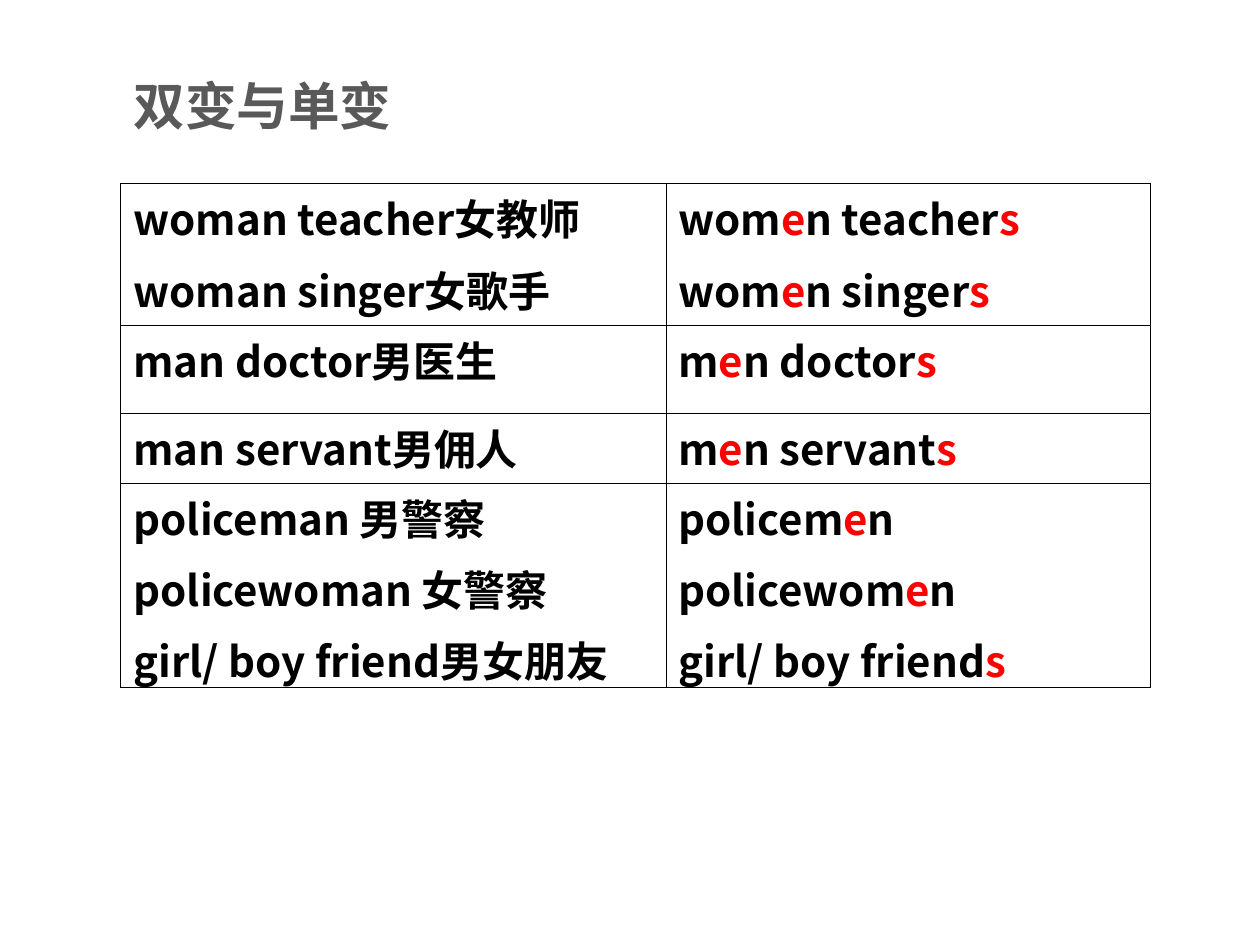
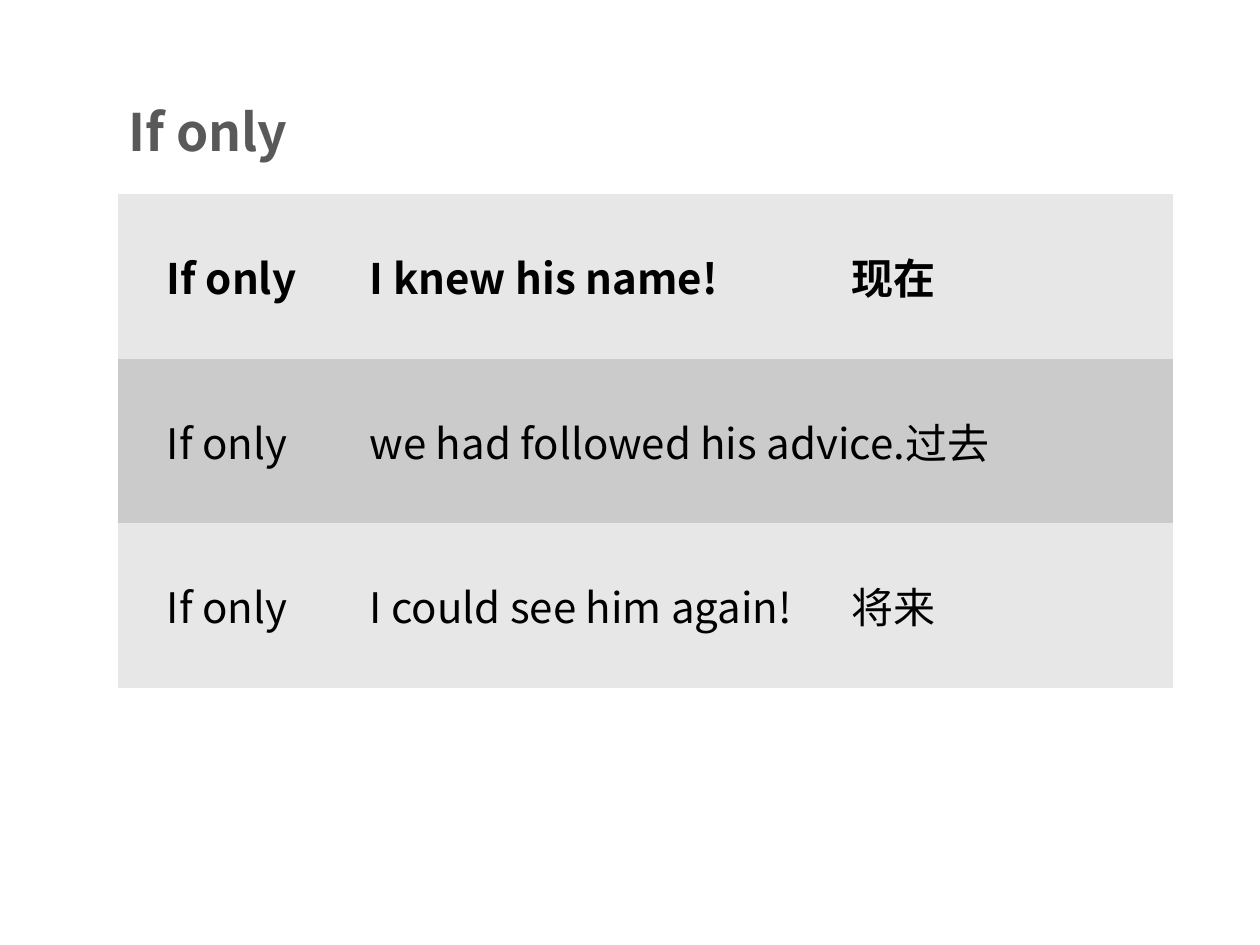
from pptx import Presentation
from pptx import util as u
from pptx.dml.color import RGBColor
from pptx.enum import text
from pptx.oxml.ns import qn
from lxml import etree

Pt = u.Pt
FONT = "Noto Sans CJK SC"
COLOURS = {
    "title": "595959",
    "body": "000000",
    "ending": "FF0000",
    "border": "000000",
    "light": "E7E7E7",
    "dark": "CBCBCB",
}
TITLE_FORMAT = {"size": Pt(59), "bold": True}
STRONG_FORMAT = {"size": Pt(48), "bold": True}
PLAIN_FORMAT = {"size": Pt(48), "bold": False}
TITLE_MARGINS = {"margin_left": Pt(14.4), "margin_right": Pt(14.4),
                 "margin_top": Pt(7.2), "margin_bottom": Pt(7.2)}
CELL_MARGINS = {"margin_left": Pt(14.4), "margin_right": Pt(14.4),
                "margin_top": Pt(3.6), "margin_bottom": Pt(3.6)}
FIRST_COLUMN_INDENT = 56
TENSE_TAB = 550
OUTER_LINE, INNER_LINE = 1.08, 0.45

# Changed letters stand between asterisks.
PLURALS = [
    (["woman teacher女教师", "woman singer女歌手"],
     ["wom*e*n teacher*s*", "wom*e*n singer*s*"]),
    (["man doctor男医生"], ["m*e*n doctor*s*"]),
    (["man servant男佣人"], ["m*e*n servant*s*"]),
    (["policeman 男警察", "policewoman 女警察", "girl/ boy friend男女朋友"],
     ["policem*e*n", "policewom*e*n", "girl/ boy friend*s*"]),
]
WISHES = [
    "I knew his name!\t现在",
    "we had followed his advice.过去",
    "I could see him again!\t将来",
]


def set_values(target, values):
    for name, value in values.items():
        setattr(target, name, value)


def add_run(paragraph, words, colour, font_format):
    run = paragraph.add_run()
    run.text = words
    set_values(run.font, {"name": FONT, **font_format})
    run.font.color.rgb = RGBColor.from_string(COLOURS[colour])
    etree.SubElement(run.font._element, qn("a:ea"), typeface=FONT)


def add_title(slide, words, left, top):
    frame = slide.shapes.add_textbox(Pt(left), Pt(top), Pt(905), Pt(108)).text_frame
    set_values(frame, {"word_wrap": True, "vertical_anchor": text.MSO_ANCHOR.MIDDLE,
                       **TITLE_MARGINS})
    add_run(frame.paragraphs[0], words, "title", TITLE_FORMAT)


def add_plain_table(slide, left, top, widths, heights):
    """Add a table without header or banding."""
    table = slide.shapes.add_table(len(heights), len(widths), Pt(left), Pt(top),
                                   Pt(sum(widths)), Pt(sum(heights))).table
    set_values(table, {"first_row": False, "horz_banding": False})
    for column, width in zip(table.columns, widths):
        column.width = Pt(width)
    for row, height in zip(table.rows, heights):
        row.height = Pt(height)
    return table


def set_borders(cell, widths):
    """Draw left, right, top and bottom borders; a width of 0 hides one."""
    properties = cell._tc.get_or_add_tcPr()
    for side, width in zip("LRTB", widths):
        line = etree.SubElement(properties, qn(f"a:ln{side}"), w=str(int(Pt(width))))
        if width:
            fill = etree.SubElement(line, qn("a:solidFill"))
            etree.SubElement(fill, qn("a:srgbClr"), val=COLOURS["border"])
        else:
            etree.SubElement(line, qn("a:noFill"))


def fill_cell(cell, fill):
    if fill:
        cell.fill.solid()
        cell.fill.fore_color.rgb = RGBColor.from_string(COLOURS[fill])
    else:
        cell.fill.background()


def write_lines(cell, lines, font_format):
    frame = cell.text_frame
    for index, line in enumerate(lines):
        paragraph = frame.add_paragraph() if index else frame.paragraphs[0]
        if index:
            paragraph.space_before = Pt(12)
        for part, words in enumerate(line.split("*")):
            if words:
                add_run(paragraph, words, "ending" if part % 2 else "body", font_format)


def add_tab_stop(paragraph, position):
    tabs = etree.SubElement(paragraph._p.get_or_add_pPr(), qn("a:tabLst"))
    etree.SubElement(tabs, qn("a:tab"), pos=str(int(Pt(position))), algn="l")


def build_plurals_slide(slide):
    add_title(slide, "双变与单变", 138.2, 66)
    table = add_plain_table(slide, 138.2, 210.2, [622.8, 553.7], [162, 100, 80, 234])
    last = len(PLURALS) - 1
    for row, pair in enumerate(PLURALS):
        for column, lines in enumerate(pair):
            cell = table.cell(row, column)
            set_values(cell, CELL_MARGINS)
            on_edge = (column == 0, column == 1, row == 0, row == last)
            set_borders(cell, [OUTER_LINE if edge else INNER_LINE for edge in on_edge])
            fill_cell(cell, None)
            write_lines(cell, lines, STRONG_FORMAT)


def build_wishes_slide(slide):
    add_title(slide, "If only", 132, 96)
    table = add_plain_table(slide, 134.6, 221.8, [273.6, 932.4], [188] * len(WISHES))
    for row, wish in enumerate(WISHES):
        for column, words in enumerate(("If only", wish)):
            cell = table.cell(row, column)
            set_values(cell, {**CELL_MARGINS, "vertical_anchor": text.MSO_ANCHOR.MIDDLE})
            set_borders(cell, [0] * 4)
            fill_cell(cell, "dark" if row % 2 else "light")
            if "\t" in words:
                add_tab_stop(cell.text_frame.paragraphs[0], TENSE_TAB)
            write_lines(cell, [words], PLAIN_FORMAT if row else STRONG_FORMAT)
        table.cell(row, 0).margin_left = Pt(FIRST_COLUMN_INDENT)


def main():
    presentation = Presentation()
    set_values(presentation, {"slide_width": Pt(1440), "slide_height": Pt(1080)})
    blank = presentation.slide_layouts[6]
    for build in (build_plurals_slide, build_wishes_slide):
        build(presentation.slides.add_slide(blank))
    presentation.save("out.pptx")


if __name__ == "__main__":
    main()
